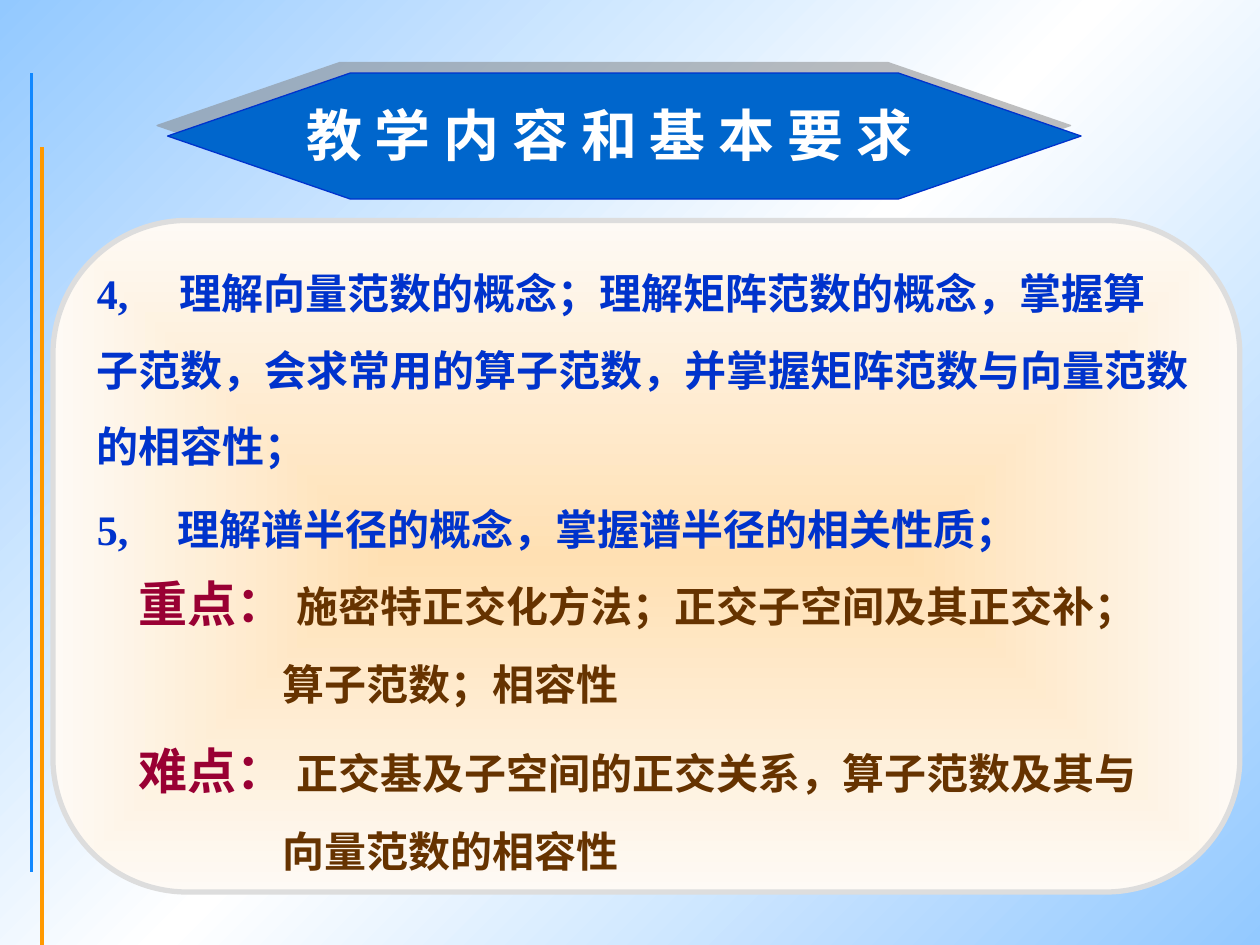
import pptx
import pptx.dml.color
import pptx.enum.shapes
import pptx.enum.text
import pptx.oxml
import pptx.oxml.ns
import pptx.util
from lxml import etree

Inches = pptx.util.Inches
Pt = pptx.util.Pt
qn = pptx.oxml.ns.qn
SHAPE = pptx.enum.shapes.MSO_SHAPE
ANCHOR = pptx.enum.text.MSO_ANCHOR

COLORS = {
    "sky": "93C9FF", "white": "FFFFFF", "orange": "FF9900", "azure": "1188FF",
    "peach": "FFE0B3", "cream": "FEFAF5", "border": "DDDDDD", "banner": "0066CC",
    "blue": "0033CC", "label": "990033", "brown": "663300", "shadow": "808080",
}
SERIF = {"name": "Times New Roman", "bold": True}
ITEM = {**SERIF, "size": Pt(24), "color": "blue"}
LABEL = {**SERIF, "size": Pt(28), "color": "label"}
DETAIL = {**SERIF, "size": Pt(24), "color": "brown"}
TITLE = {"name": "Cabin", "bold": True, "size": Pt(32), "color": "white"}


def rgb(name):
    return pptx.dml.color.RGBColor.from_string(COLORS[name])


def set_gradient(fill, element, stops, direction):
    fill.gradient()
    grad = element.find(".//" + qn("a:gradFill"))
    grad.clear()
    gs_lst = etree.SubElement(grad, qn("a:gsLst"))
    for pos, name in stops:
        gs = etree.SubElement(gs_lst, qn("a:gs"), pos=str(pos * 1000))
        etree.SubElement(gs, qn("a:srgbClr"), val=COLORS[name])
    grad.append(pptx.oxml.parse_xml(direction))


def add_shadow(props, dist, angle, alpha):
    effects = props.find(qn("a:effectLst"))
    if effects is None:
        effects = etree.Element(qn("a:effectLst"))
        fill = props.find(qn("a:solidFill"))
        if props.tag == qn("a:rPr"):
            fill.addnext(effects)
        else:
            props.append(effects)
    shadow = etree.SubElement(effects, qn("a:outerShdw"), blurRad="0",
                              dist=str(Pt(dist)), dir=str(angle * 60000), algn="ctr")
    color = etree.SubElement(shadow, qn("a:srgbClr"), val=COLORS["shadow"])
    etree.SubElement(color, qn("a:alpha"), val=str(alpha * 1000))


def format_run(r, style):
    for key, value in style.items():
        if key == "color":
            r.font.color.rgb = rgb(value)
        else:
            setattr(r.font, key, value)


def add_text(s, box, paragraphs, anchor=ANCHOR.TOP, tab=None, hang=0):
    tf = s.shapes.add_textbox(*map(Inches, box)).text_frame
    tf.word_wrap = True
    tf.vertical_anchor = anchor
    for i, runs in enumerate(paragraphs):
        p = tf.add_paragraph() if i else tf.paragraphs[0]
        p_pr = p._p.get_or_add_pPr()
        if i:
            p.space_before = Pt(15)
        if hang:
            p_pr.set("marL", str(Inches(hang)))
            p_pr.set("indent", str(0 if i else -Inches(hang)))
        if tab and not i:
            tabs = etree.SubElement(p_pr, qn("a:tabLst"))
            etree.SubElement(tabs, qn("a:tab"), pos=str(Inches(tab)), algn="l")
        for text, style in runs:
            r = p.add_run()
            r.text = text
            format_run(r, style)


def add_rules(s, left, top, height):
    for dx, dy, name in ((0.08, 0.59, "orange"), (0, 0, "azure")):
        x = Inches(left + dx)
        bottom = min(top + dy + height, 7.5)
        line = s.shapes.add_connector(pptx.enum.shapes.MSO_CONNECTOR.STRAIGHT,
                                      x, Inches(top + dy), x, Inches(bottom))
        line.line.color.rgb = rgb(name)
        line.line.width = Pt(2.25)
        etree.SubElement(line._element.spPr, qn("a:effectLst"))


def add_panel(s, left, top, width, height):
    sp = s.shapes.add_shape(SHAPE.ROUNDED_RECTANGLE,
                            *map(Inches, (left, top, width, height)))
    sp.adjustments[0] = 0.2
    sp.shadow.inherit = False
    set_gradient(sp.fill, sp._element, ((0, "peach"), (100, "cream")),
                 '<a:path xmlns:a="http://schemas.openxmlformats.org/drawingml/2006/main" '
                 'path="rect"><a:fillToRect l="50000" t="50000" r="50000" b="50000"/></a:path>')
    sp.line.color.rgb = rgb("border")
    sp.line.width = Pt(3)

    add_text(s, (left + 0.25, top + 0.32, 9.07, 1.72), [
        [("4,\t理解向量范数的概念；理解矩阵范数的概念，掌握算", ITEM)],
        [("子范数，会求常用的算子范数，并掌握矩阵范数与向量范数", ITEM)],
        [("的相容性；", ITEM)],
    ], ANCHOR.MIDDLE, tab=0.66)
    add_text(s, (left + 0.25, top + 2.2, 7.5, 0.5), [
        [("5,\t理解谱半径的概念，掌握谱半径的相关性质；", ITEM)],
    ], ANCHOR.MIDDLE, tab=0.64)
    points = (
        ("重点： ", "施密特正交化方法；正交子空间及其正交补；", "算子范数；相容性"),
        ("难点： ", "正交基及子空间的正交关系，算子范数及其与", "向量范数的相容性"),
    )
    for i, (label, first, second) in enumerate(points):
        add_text(s, (left + 0.58, top + 2.75 + i * 1.33, 8.42, 1.18),
                 [[(label, LABEL), (first, DETAIL)], [(second, DETAIL)]], hang=1.14)


def add_banner(s, left, top, width, height):
    sp = s.shapes.add_shape(SHAPE.FLOWCHART_PREPARATION,
                            *map(Inches, (left, top, width, height)))
    sp.shadow.inherit = False
    sp.fill.solid()
    sp.fill.fore_color.rgb = rgb("banner")
    sp.line.color.rgb = rgb("blue")
    sp.line.width = Pt(0.75)
    add_shadow(sp._element.spPr, 8.5, 225, 50)

    title = s.shapes.title
    box = {"left": left + 1, "top": top + 0.17, "width": 5.83, "height": 0.64}
    for key, value in box.items():
        setattr(title, key, Inches(value))
    tf = title.text_frame
    frame = {"word_wrap": True, "vertical_anchor": ANCHOR.TOP,
             "auto_size": pptx.enum.text.MSO_AUTO_SIZE.NONE}
    for key, value in frame.items():
        setattr(tf, key, value)
    p = tf.paragraphs[0]
    p.alignment = pptx.enum.text.PP_ALIGN.LEFT
    r = p.add_run()
    r.text = "教 学 内 容 和 基 本 要 求"
    format_run(r, TITLE)
    add_shadow(r.font._element, 2, 45, 100)
    sp._element.addnext(title._element)


def main():
    prs = pptx.Presentation()
    prs.slide_width, prs.slide_height = Inches(10), Inches(7.5)
    s = prs.slides.add_slide(prs.slide_layouts[5])
    set_gradient(s.background.fill, s._element,
                 ((0, "sky"), (50, "white"), (100, "sky")),
                 '<a:lin xmlns:a="http://schemas.openxmlformats.org/drawingml/2006/main" '
                 'ang="13500000" scaled="0"/>')
    add_rules(s, 0.25, 0.58, 6.34)
    add_panel(s, 0.42, 1.75, 9.42, 5.33)
    add_banner(s, 1.33, 0.58, 7.25, 1)
    prs.save("out.pptx")


if __name__ == "__main__":
    main()
